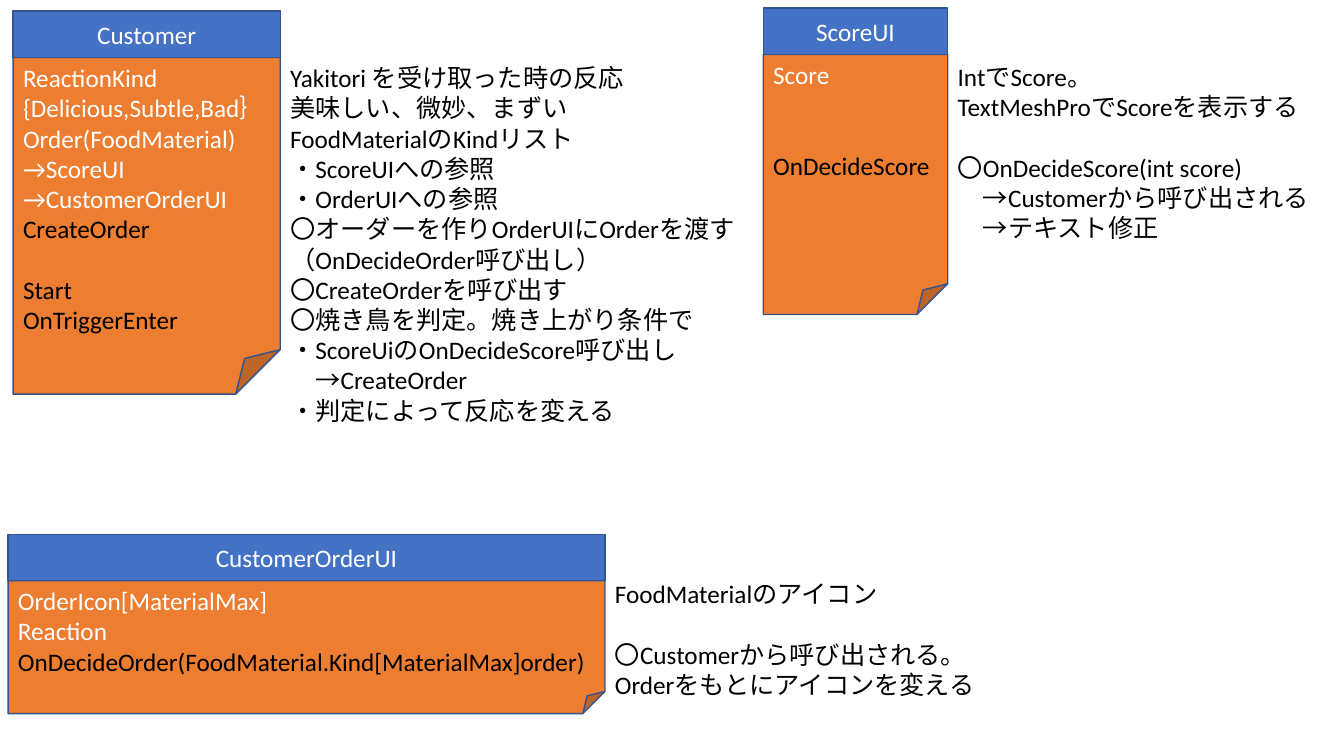
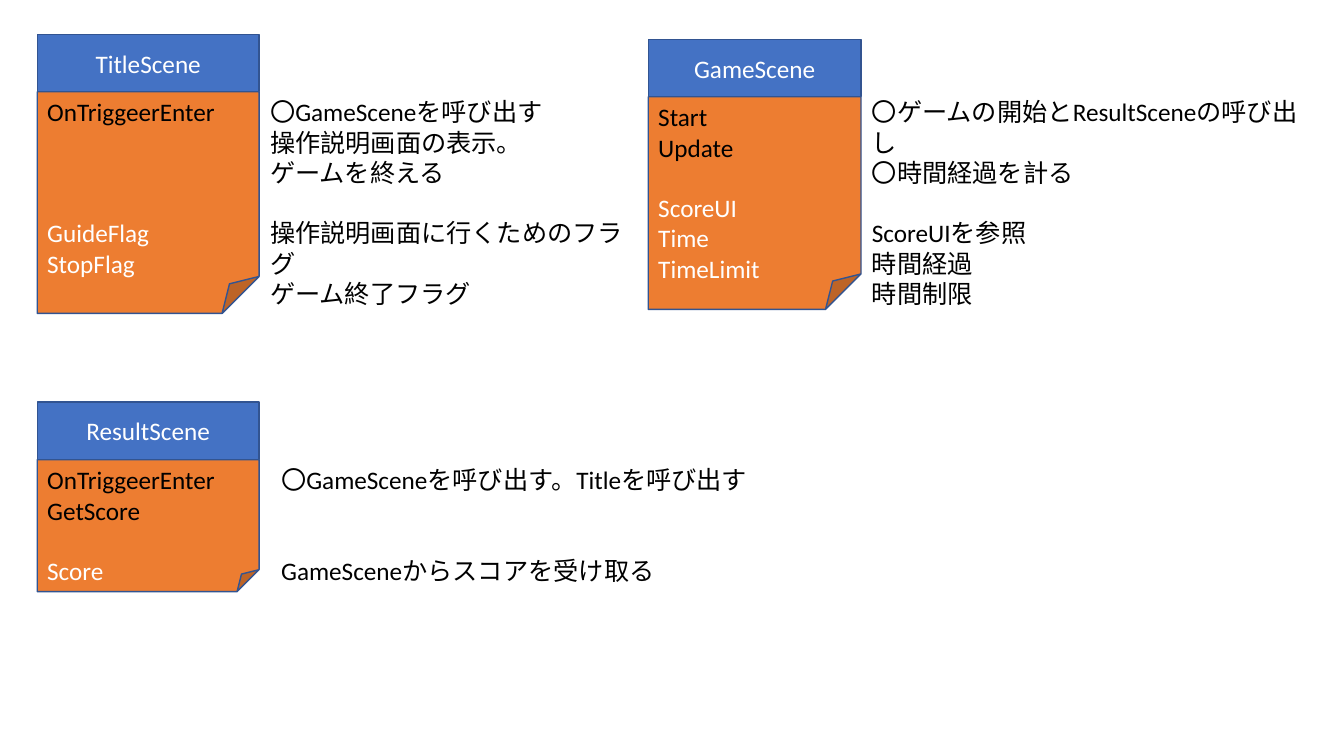
import dataclasses

import pptx
import pptx.dml.color
import pptx.enum.shapes
import pptx.enum.text
import pptx.util

Inches = pptx.util.Inches
Pt = pptx.util.Pt
Shapes = pptx.enum.shapes.MSO_SHAPE
Anchor = pptx.enum.text.MSO_ANCHOR
Align = pptx.enum.text.PP_ALIGN


@dataclasses.dataclass(frozen=True)
class Theme:
    """Colours and type sizes shared by the slides."""
    header: str = "4472C4"
    body: str = "ED7D31"
    outline: str = "325491"
    light: str = "FFFFFF"
    dark: str = "000000"
    font: str = "Calibri"
    size: float = 18
    line_pitch: float = 21.6
    line_width: float = 1


THEME = Theme()


@dataclasses.dataclass(frozen=True)
class Line:
    """One paragraph, with the number of empty lines above it."""
    text: str
    colour: str
    gap: int = 0


def field(text, gap=0):
    """Return a class field, set in the light colour."""
    return Line(text, THEME.light, gap)


def method(text, gap=0):
    """Return a class method, set in the dark colour."""
    return Line(text, THEME.dark, gap)


def remark(text, gap=0):
    """Return a line of explanation."""
    return Line(text, THEME.dark, gap)


class ClassDiagram:
    """Draws class cards and their notes on the current slide."""

    def __init__(self, presentation, theme):
        """Keep the presentation and the theme."""
        self.presentation = presentation
        self.theme = theme
        self.slide = None

    def new_slide(self):
        """Add a blank slide and make it current."""
        layout = self.presentation.slide_layouts.get_by_name("Blank")
        self.slide = self.presentation.slides.add_slide(layout)

    def set_lines(self, shape, lines, alignment=Align.LEFT, anchor=Anchor.TOP):
        """Fill a shape with lines of text."""
        frame = shape.text_frame
        frame.word_wrap = True
        frame.vertical_anchor = anchor
        for index, line in enumerate(lines):
            paragraph = frame.add_paragraph() if index else frame.paragraphs[0]
            paragraph.text = line.text
            paragraph.alignment = alignment
            if line.gap:
                paragraph.space_before = Pt(line.gap * self.theme.line_pitch)
            paragraph.font.name = self.theme.font
            paragraph.font.size = Pt(self.theme.size)
            paragraph.font.color.rgb = pptx.dml.color.RGBColor.from_string(line.colour)

    def panel(self, kind, fill, left, top, width, height):
        """Add a filled and outlined shape."""
        shape = self.slide.shapes.add_shape(
            kind, Inches(left), Inches(top), Inches(width), Inches(height))
        shape.shadow.inherit = False
        shape.fill.solid()
        shape.fill.fore_color.rgb = pptx.dml.color.RGBColor.from_string(fill)
        shape.line.color.rgb = pptx.dml.color.RGBColor.from_string(self.theme.outline)
        shape.line.width = Pt(self.theme.line_width)
        return shape

    def card(self, name, members, left, top, width, header_height, body_height):
        """Add a class card: a folded body below a header with its name."""
        body = self.panel(Shapes.FOLDED_CORNER, self.theme.body,
                          left, top + header_height, width, body_height)
        self.set_lines(body, members)
        header = self.panel(Shapes.RECTANGLE, self.theme.header,
                            left, top, width, header_height)
        self.set_lines(header, [field(name)], Align.CENTER, Anchor.MIDDLE)

    def note(self, lines, left, top, width, height):
        """Add a text box that explains a card."""
        box = self.slide.shapes.add_textbox(
            Inches(left), Inches(top), Inches(width), Inches(height))
        self.set_lines(box, lines)
        box.text_frame.auto_size = pptx.enum.text.MSO_AUTO_SIZE.SHAPE_TO_FIT_TEXT


def build_customer_slide(diagram):
    """Draw the customer and the two user interface classes."""
    diagram.new_slide()
    header_height = 0.46
    diagram.card("Customer", [
        field("ReactionKind"),
        field("{Delicious,Subtle,Bad｝"),
        field("Order(FoodMaterial)"),
        field("→ScoreUI"),
        field("→CustomerOrderUI"),
        method("CreateOrder"),
        method("Start", gap=1),
        method("OnTriggerEnter"),
    ], 0.13, 0.11, 2.65, header_height, 3.34)
    diagram.note([
        remark("Yakitori\u00a0を受け取った時の反応"),
        remark("美味しい、微妙、まずい"),
        remark("FoodMaterialのKindリスト"),
        remark("・ScoreUIへの参照"),
        remark("・OrderUIへの参照"),
        remark("〇オーダーを作りOrderUIにOrderを渡す（OnDecideOrder呼び出し）"),
        remark("〇CreateOrderを呼び出す"),
        remark("〇焼き鳥を判定。焼き上がり条件で"),
        remark("・ScoreUiのOnDecideScore呼び出し"),
        remark("\u3000→CreateOrder"),
        remark("・判定によって反応を変える"),
    ], 2.78, 0.57, 4.79, 3.74)

    diagram.card("CustomerOrderUI", [
        field("OrderIcon[MaterialMax]"),
        field("Reaction"),
        method("OnDecideOrder(FoodMaterial.Kind[MaterialMax]order)"),
    ], 0.08, 5.3, 5.92, header_height, 1.32)
    diagram.note([
        remark("FoodMaterialのアイコン"),
        remark("〇Customerから呼び出される。", gap=1),
        remark("Orderをもとにアイコンを変える"),
    ], 6, 5.69, 4.05, 1.31)

    diagram.card("ScoreUI", [
        field("Score"),
        method("OnDecideScore", gap=2),
    ], 7.57, 0.08, 1.83, header_height, 2.58)
    diagram.note([
        remark("IntでScore。"),
        remark("TextMeshProでScoreを表示する"),
        remark("〇OnDecideScore(int score)", gap=1),
        remark("\u3000→Customerから呼び出される"),
        remark("\u3000→テキスト修正"),
    ], 9.4, 0.56, 3.79, 1.92)


def build_scene_slide(diagram):
    """Draw the title, game and result scenes."""
    diagram.new_slide()
    header_height = 0.57
    diagram.card("TitleScene", [
        method("OnTriggeerEnter"),
        field("GuideFlag", gap=3),
        field("StopFlag"),
    ], 0.37, 0.34, 2.2, header_height, 2.2)
    diagram.note([
        remark("〇GameSceneを呼び出す"),
        remark("操作説明画面の表示。"),
        remark("ゲームを終える"),
        remark("操作説明画面に行くためのフラグ", gap=1),
        remark("ゲーム終了フラグ"),
    ], 2.58, 0.91, 3.82, 1.92)

    diagram.card("GameScene", [
        method("Start"),
        method("Update"),
        field("ScoreUI", gap=1),
        field("Time"),
        field("TimeLimit"),
    ], 6.43, 0.39, 2.11, header_height, 2.11)
    diagram.note([
        remark("〇ゲームの開始とResultSceneの呼び出し"),
        remark("〇時間経過を計る"),
        remark("ScoreUIを参照", gap=1),
        remark("時間経過"),
        remark("時間制限"),
    ], 8.55, 0.91, 4.63, 1.92)

    diagram.card("ResultScene", [
        method("OnTriggeerEnter"),
        method("GetScore"),
        field("Score", gap=1),
    ], 0.37, 3.99, 2.2, header_height, 1.31)
    diagram.note([
        remark("〇GameSceneを呼び出す。Titleを呼び出す"),
        remark("GameSceneからスコアを受け取る", gap=2),
    ], 2.69, 4.56, 5.06, 1.31)


def main():
    """Build and save the presentation."""
    presentation = pptx.Presentation()
    presentation.slide_width = Inches(13.33)
    presentation.slide_height = Inches(7.5)
    diagram = ClassDiagram(presentation, THEME)
    build_customer_slide(diagram)
    build_scene_slide(diagram)
    presentation.save("out.pptx")


main()
